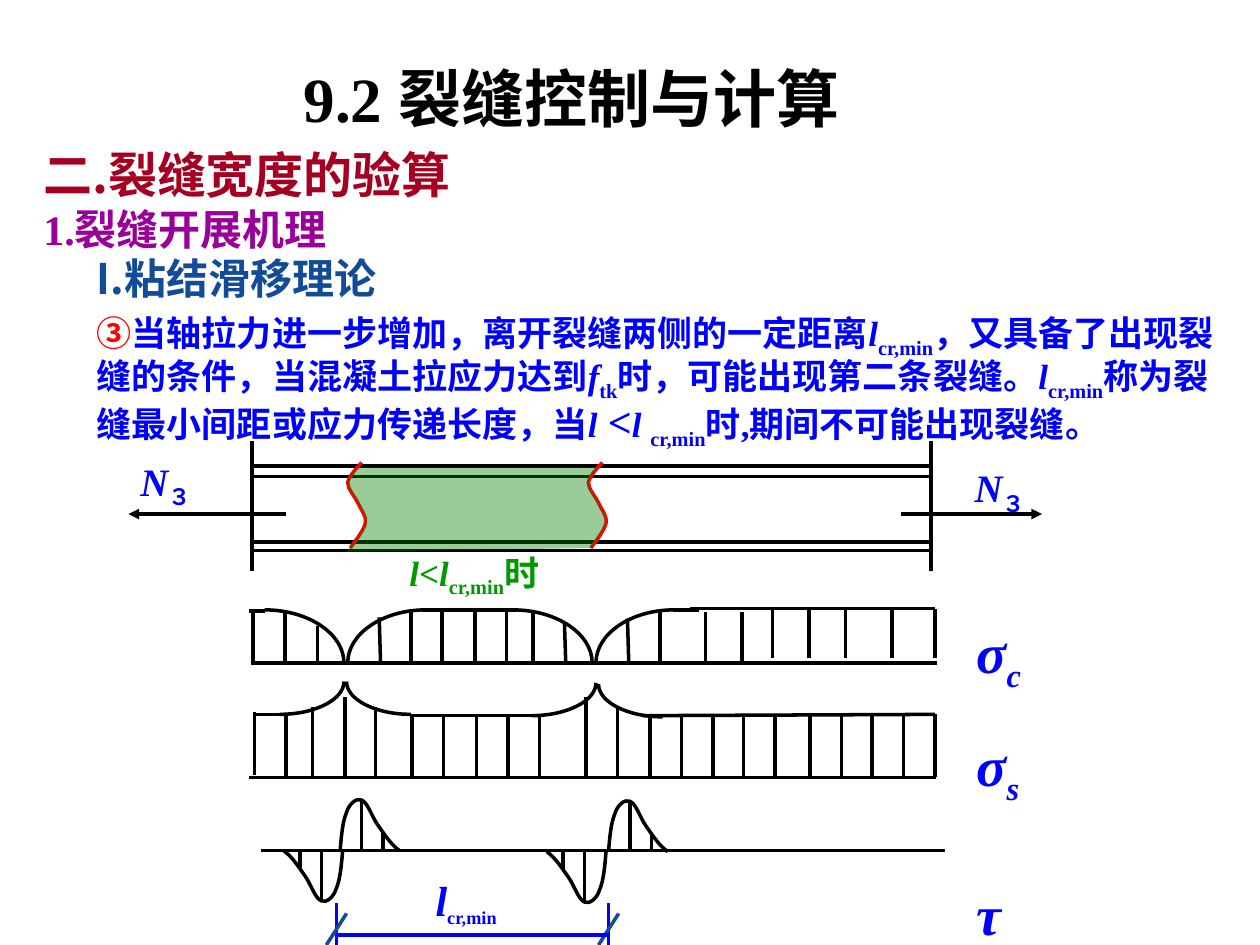
from typing import NamedTuple, Optional

from pptx import Presentation
from pptx.dml.color import RGBColor
from pptx.enum.shapes import MSO_CONNECTOR as Conn
from pptx.enum.text import MSO_ANCHOR as Anchor, PP_ALIGN as Align
from pptx.oxml.ns import qn
from pptx.util import Inches, Pt
from lxml.etree import SubElement

SERIF, SANS = "Times New Roman", "Noto Sans CJK SC"
BLACK, BLUE, NAVY, RED, GREEN = "000000", "0000FF", "124B98", "FF0000", "009900"

prs = Presentation()
prs.slide_width, prs.slide_height = Inches(10), Inches(7.5)
COL, ROW = prs.slide_width / 100, prs.slide_height / 75
s = prs.slides.add_slide(prs.slide_layouts[6])


class Run(NamedTuple):
    text: str
    italic: bool = False
    sub: bool = False
    size: Optional[float] = None
    color: Optional[str] = None


class Para(NamedTuple):
    runs: list
    size: float
    color: str
    font: str = SERIF
    before: float = 0
    spacing: float = 0.9


class Box(NamedTuple):
    x: float
    y: float
    w: float
    h: float


class Hatch(NamedTuple):
    xs: list
    bottom: float
    top: float


def rgb(color: str) -> RGBColor:
    return RGBColor.from_string(color)


def at(x: float, y: float) -> tuple:
    return round(x * COL), round(y * ROW)


def text(box: Box, paras: list, align=Align.LEFT, anchor=Anchor.TOP, wrap=False, inset=1):
    sp = s.shapes.add_textbox(*at(box.x, box.y), *at(box.w, box.h))
    tf = sp.text_frame
    tf.word_wrap, tf.vertical_anchor = wrap, anchor
    tf.margin_left = int(inset * COL)
    for i, para in enumerate(paras):
        p = tf.add_paragraph() if i else tf.paragraphs[0]
        p.alignment, p.line_spacing = align, para.spacing
        if para.before:
            p.space_before = Pt(para.before)
        for run in para.runs:
            r = p.add_run()
            r.text = run.text
            r.font.size = Pt(run.size or para.size)
            r.font.bold, r.font.italic = True, run.italic
            r.font.color.rgb = rgb(run.color or para.color)
            r.font.name = para.font
            SubElement(r.font._element, qn("a:ea")).set("typeface", SANS)
            if run.sub:
                r.font._element.set("baseline", "-25000")


def line(x1: float, y1: float, x2: float, y2: float, color=BLACK, arrow=False):
    c = s.shapes.add_connector(Conn.STRAIGHT, *at(x1, y1), *at(x2, y2))
    c.line.color.rgb, c.line.width = rgb(color), Pt(2)
    if arrow:
        SubElement(c.line._get_or_add_ln(), qn("a:tailEnd")).set("type", "triangle")
    SubElement(c._element.spPr, qn("a:effectLst"))


def hatch(group: Hatch):
    for x in group.xs:
        line(x, group.bottom, x, group.top)


def curve(ctrl: list, color=BLACK, alpha: Optional[int] = None):
    filled = alpha is not None
    pts = [at(*q) for q in ctrl]
    fb = s.shapes.build_freeform(*pts[0])
    fb.add_line_segments(pts[3::3], close=filled)
    sp = fb.convert_to_shape()
    sp.shadow.inherit = False
    for i, seg in enumerate(list(sp._element.iter(qn("a:lnTo")))):
        seg.tag = qn("a:cubicBezTo")
        seg.remove(seg[0])
        for x, y in pts[3 * i + 1:3 * i + 4]:
            pt = SubElement(seg, qn("a:pt"))
            pt.set("x", str(x - sp.left))
            pt.set("y", str(y - sp.top))
    if filled:
        sp.fill.solid()
        sp.fill.fore_color.rgb = rgb(color)
        clr = sp.fill._xPr.find(qn("a:solidFill"))[0]
        SubElement(clr, qn("a:alpha")).set("val", str(alpha * 1000))
        sp.line.fill.background()
    else:
        sp.fill.background()
        sp.line.color.rgb, sp.line.width = rgb(color), Pt(2)


def quarter(x0: float, y0: float, x1: float, y1: float):
    dx, dy = x1 - x0, y1 - y0
    curve([(x0, y0), (x0 + 0.55 * dx, y0), (x1, y0 + 0.45 * dy), (x1, y1)])


PULSE = [(0, 0), (0.1, -1.2), (0.2, -2.3), (0.5, -3), (0.7, -3.7), (1.3, -4.2), (1.7, -4),
         (2.2, -3.8), (2.5, -2.7), (3, -2), (3.5, -1.3), (4, -0.5), (4.7, 0)]
CRACK = [(0, 0), (0.2, -0.3), (1.1, -1.4), (1.2, -2), (1.3, -2.6), (0.8, -3.1), (0.6, -3.6),
         (0.3, -4.2), (-0.2, -4.7), (-0.2, -5.2), (-0.1, -5.8), (0.7, -6.5), (0.9, -6.8)]


def pulse(x: float, y: float, sign: int):
    curve([(x + sign * dx, y + sign * dy) for dx, dy in PULSE])
    for dx, dy in ((1.7, -4), (3.4, -1.4)):
        line(x + sign * dx, y, x + sign * dx, y + sign * dy)


def crack(x: float) -> list:
    return [(x + dx, 43.5 + dy) for dx, dy in CRACK]


L, CR = Run("l", italic=True), Run("cr,min", sub=True)

text(Box(0, 4.6, 90.7, 6.2), [Para([Run("9.2 裂缝控制与计算")], 36, BLACK, spacing=1)],
     Align.CENTER, Anchor.MIDDLE, True)
text(Box(2.45, 11, 43.5, 9.7), [
    Para([Run("二.裂缝宽度的验算")], 28, "A50021", SANS, spacing=1),
    Para([Run("1.裂缝开展机理")], 24, "990099", spacing=1)])
text(Box(6.7, 20, 91.7, 16.1), [
    Para([Run("I.粘结滑移理论")], 24, NAVY, SANS),
    Para([Run("③", color=RED), Run("当轴拉力进一步增加，离开裂缝两侧的一定距离"), L, CR,
          Run("，又具备了出现裂缝的条件，当混凝土拉应力达到"), Run("f", italic=True),
          Run("tk", sub=True), Run("时，可能出现第二条裂缝。"), L, CR,
          Run("称为裂缝最小间距或应力传递长度，当"), L, Run(" <", size=24),
          Run("l ", italic=True), CR, Run("时,期间不可能出现裂缝。")], 20, BLUE, before=5)],
     wrap=True)

for x, y in ((19.9, 43), (20.1, 43.7), (19.9, 37.8), (20.1, 37)):
    line(x, y, x + 53.9, y)
for x in (20, 73.9):
    line(x, 35, x, 45.3)
line(71.5, 40.8, 82.7, 40.8, arrow=True)
line(22.7, 40.8, 10.2, 40.8, arrow=True)
for box in (Box(6.7, 36.2, 12.9, 4.6), Box(73.3, 36.7, 12.1, 4.6)):
    text(box, [Para([Run("N", italic=True), Run("３", sub=True)], 22.2, BLUE, spacing=0.8)],
         Align.CENTER, wrap=True)

for x1, y1, x2, y2 in ((19.9, 52.6, 74.4, 52.6), (19.8, 61.7, 74.3, 61.7),
                       (20.7, 67.5, 75, 67.5), (33.5, 48.4, 41, 48.4),
                       (53.4, 48.4, 55.5, 48.4), (54.8, 48.3, 74.2, 48.3),
                       (22.4, 56.7, 20.2, 56.7), (42.3, 56.8, 32.5, 56.8),
                       (74.2, 56.7, 51, 56.8), (30.2, 52.5, 30.1, 49),
                       (44.9, 52.5, 44.8, 49.5), (49.9, 52.5, 49.8, 49.1)):
    line(x1, y1, x2, y2)

for group in (
        Hatch([20.1, 22.6, 32.6, 35.1, 37.7, 40.2, 42.3, 52.4, 56, 58.9], 52.5, 48.6),
        Hatch([25.2], 52.5, 49.7),
        Hatch([61.3, 64.2, 67.1, 70.8, 74.2], 52.2, 48.3),
        Hatch([20.2], 61.5, 56.5),
        Hatch([22.7, 32.7, 35.2, 37.8, 40.3, 42.8, 51.6, 54.1, 56.6, 59, 61.5], 61.8, 56.8),
        Hatch([64.3, 66.8, 69.2, 71.7, 74.2], 61.7, 56.7),
        Hatch([24.8, 29.8, 49], 61.7, 56.1), Hatch([27.4, 46.5], 61.7, 55.3)):
    hatch(group)

for x0, x1 in ((21, 27.3), (33.8, 27.6), (40.7, 47), (53.5, 47.3)):
    quarter(x0, 48.4, x1, 52.6)
curve([(19.8, 48.5), (20.2, 48.5), (20.6, 48.5), (21, 48.5)])
for x0, x1, y in ((22.2, 27.3, 56.7), (32.6, 27.5, 56.7), (42.2, 47.3, 56.8),
                  (52.6, 47.5, 56.9)):
    quarter(x0, y, x1, y - 2.6)
for x, y, sign in ((27, 67.5, 1), (27.2, 67.5, -1), (48.3, 67.6, 1), (48.1, 67.6, -1)):
    pulse(x, y, sign)

text(Box(77.5, 48.6, 15, 23.9), [
    Para([Run("σ", True), Run("c", True, True)], 32, BLUE),
    Para([Run("σ", True), Run("s", True, True)], 32, BLUE, before=25),
    Para([Run("τ", True)], 32, BLUE, before=50)], inset=0)

text(Box(33.5, 69.2, 7, 4.8), [Para([L, CR._replace(size=18)], 24, BLUE)], Align.CENTER)
for x in (26.7, 48.3):
    line(x, 71.7, x, 75, BLUE)
    line(x - 0.8, 75, x + 0.8, 72.5, NAVY)
line(26.7, 74.2, 48.3, 74.2, BLUE)

left, right = crack(27.8), crack(46.9)
for edge in (right, left):
    curve(edge, RED)
top_left, top_right, foot = (28.3, 37.1), (47.6, 37.1), (27.5, 43.8)
curve([*right[:-1], top_right, top_right, top_left, top_left, *left[-2:0:-1],
       foot, foot, right[0], right[0]], "008000", 40)
text(Box(31.1, 43.3, 13.1, 4.4), [Para([Run("l<l", True), CR, Run("时")], 20, GREEN)],
     Align.CENTER)

prs.save("out.pptx")
